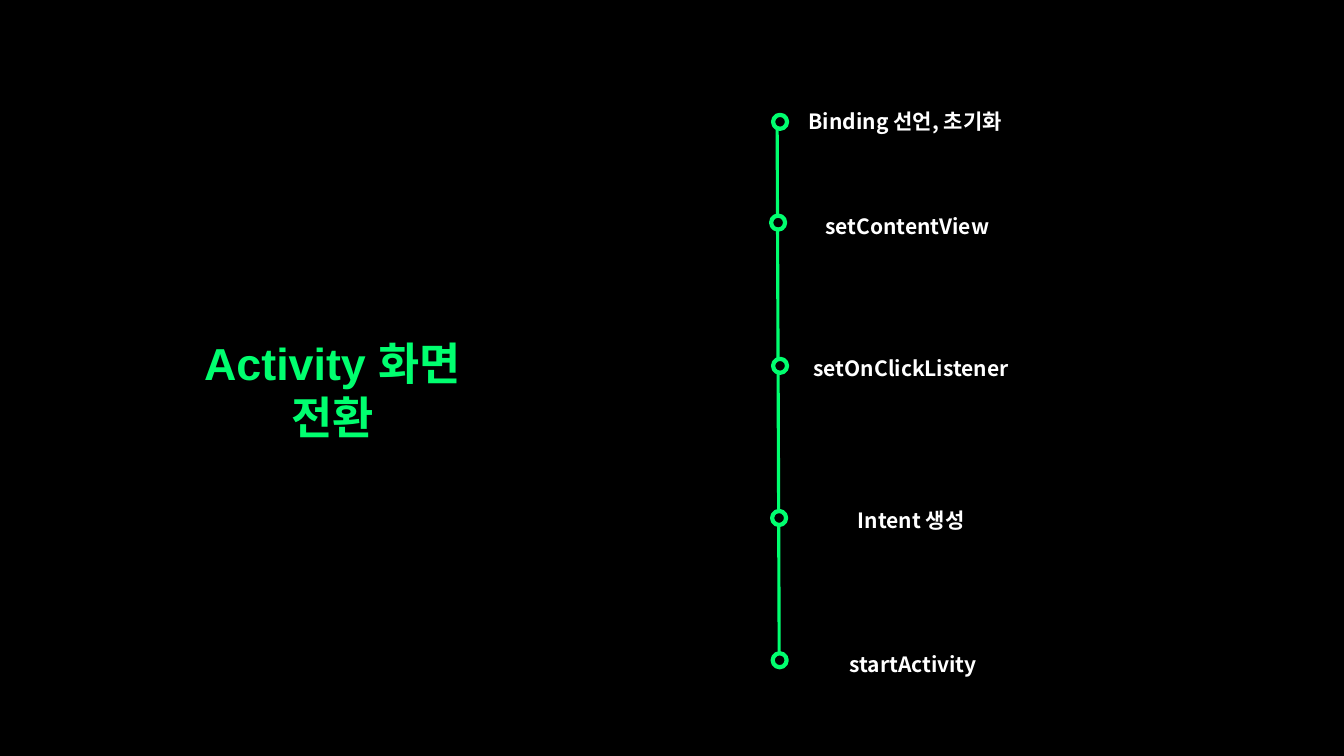
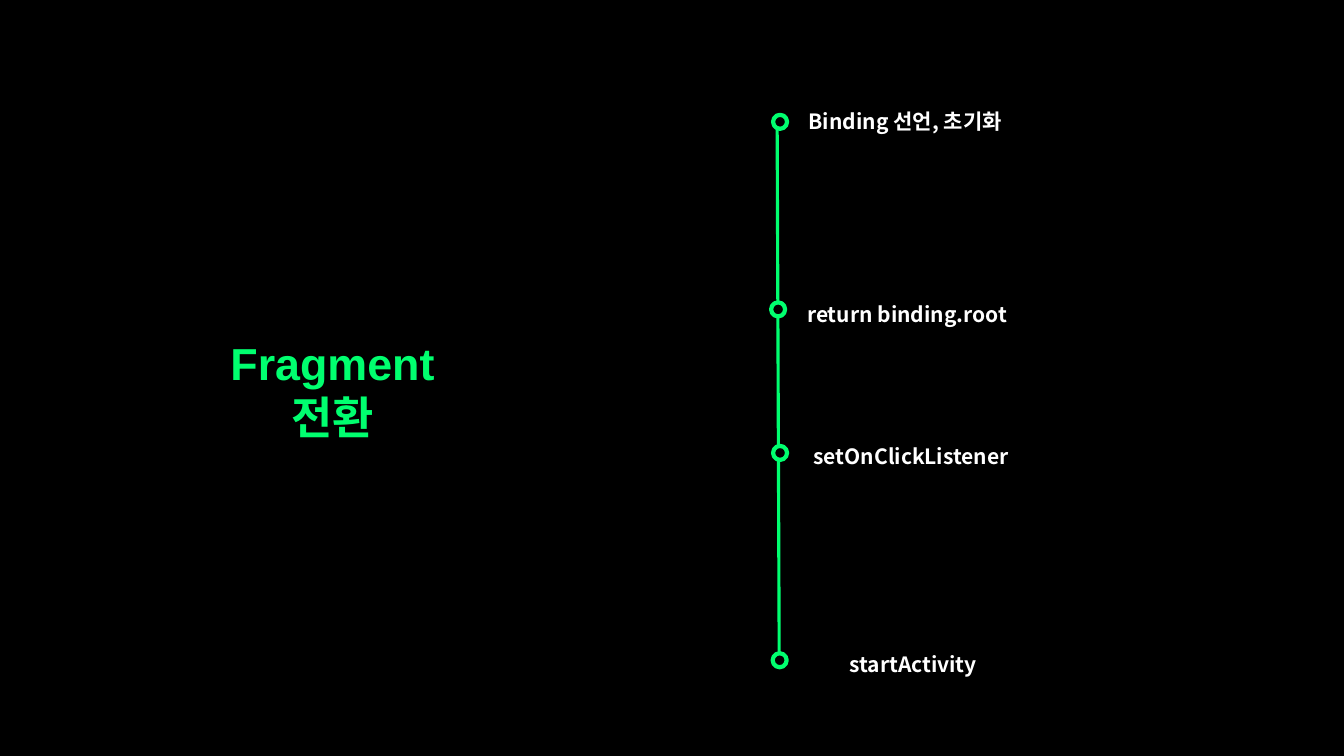
from pptx import Presentation
from pptx.dml.color import RGBColor
from pptx.enum.shapes import MSO_CONNECTOR, MSO_SHAPE
from pptx.enum.text import MSO_AUTO_SIZE, PP_ALIGN
from pptx.oxml.ns import qn
from pptx.util import Pt
from lxml import etree

LINE = MSO_CONNECTOR.STRAIGHT
RING = MSO_SHAPE.FLOWCHART_CONNECTOR
CENTER = PP_ALIGN.CENTER
GROW = MSO_AUTO_SIZE.SHAPE_TO_FIT_TEXT

BLACK, GREEN, WHITE = "000000", "00FF6F", "FFFFFF"
ARIAL, NOTO = "Arial", "Noto Sans CJK KR"

# Steps: wording, ring left and top, label left and top
BIND = ("Binding 선언, 초기화", 552.2, 82, 567.4, 74.2)
START = ("startActivity", 551.9, 466.6, 573.1, 461.5)
CLICK = "setOnClickListener"

FLOWS = [
    ("Activity 화면 전환", 260.6, [
        BIND,
        ("setContentView", 550.8, 154, 568.8, 149),
        (CLICK, 552.2, 256.3, 571.7, 250.6),
        ("Intent 생성", 551.5, 365, 571.7, 359.3),
        START,
    ]),
    ("Fragment 전환", 213.8, [
        BIND,
        ("return binding.root", 550.8, 216, 568.8, 211.7),
        (CLICK, 552.2, 318.5, 571.7, 313.2),
        START,
    ]),
]


def color(value):
    return RGBColor.from_string(value)


class Deck:
    """Shared style and the current slide."""

    mid = 237.6  # centre of the title
    ring = 10

    def __init__(self):
        self.prs = Presentation()
        self.prs.slide_width, self.prs.slide_height = Pt(960), Pt(540)

    def page(self):
        self.slide = self.prs.slides.add_slide(self.prs.slide_layouts[6])
        fill = self.slide.background.fill
        fill.solid()
        fill.fore_color.rgb = color(BLACK)

    def text(self, words, x, y, w, h, size, face, tint):
        box = self.slide.shapes.add_textbox(Pt(x), Pt(y), Pt(w), Pt(h))
        frame = box.text_frame
        frame.word_wrap = True
        frame.auto_size = GROW
        frame.text = words
        para = frame.paragraphs[0]
        para.alignment = CENTER
        for run in para.runs:
            font = run.font
            font.name, font.size, font.bold = face, Pt(size), True
            font.color.rgb = color(tint)
            # Typeface for the Hangul
            asian = etree.SubElement(run._r.get_or_add_rPr(), qn("a:ea"))
            asian.set("typeface", NOTO)

    def title(self, words, width):
        self.text(words, self.mid - width / 2, 236.2, width, 46,
                  32, ARIAL, GREEN)

    def label(self, words, x, y):
        self.text(words, x, y, 158.4, 25.2, 15, NOTO, WHITE)

    def axis(self):
        line = self.slide.shapes.add_connector(
            LINE, Pt(556.6), Pt(470.2), Pt(555.1), Pt(82))
        line.line.color.rgb = color(GREEN)
        line.line.width = Pt(2.25)
        etree.SubElement(line._element.spPr, qn("a:effectLst"))

    def dot(self, x, y):
        dot = self.slide.shapes.add_shape(
            RING, Pt(x), Pt(y), Pt(self.ring), Pt(self.ring))
        dot.shadow.inherit = False
        dot.fill.solid()
        dot.fill.fore_color.rgb = color(BLACK)
        dot.line.color.rgb = color(GREEN)
        dot.line.width = Pt(3)


def main():
    deck = Deck()
    for name, width, steps in FLOWS:
        deck.page()
        deck.title(name, width)
        # Timeline
        deck.axis()
        for words, x, y, left, top in steps:
            deck.dot(x, y)
            deck.label(words, left, top)
    deck.prs.save("out.pptx")


if __name__ == "__main__":
    main()
